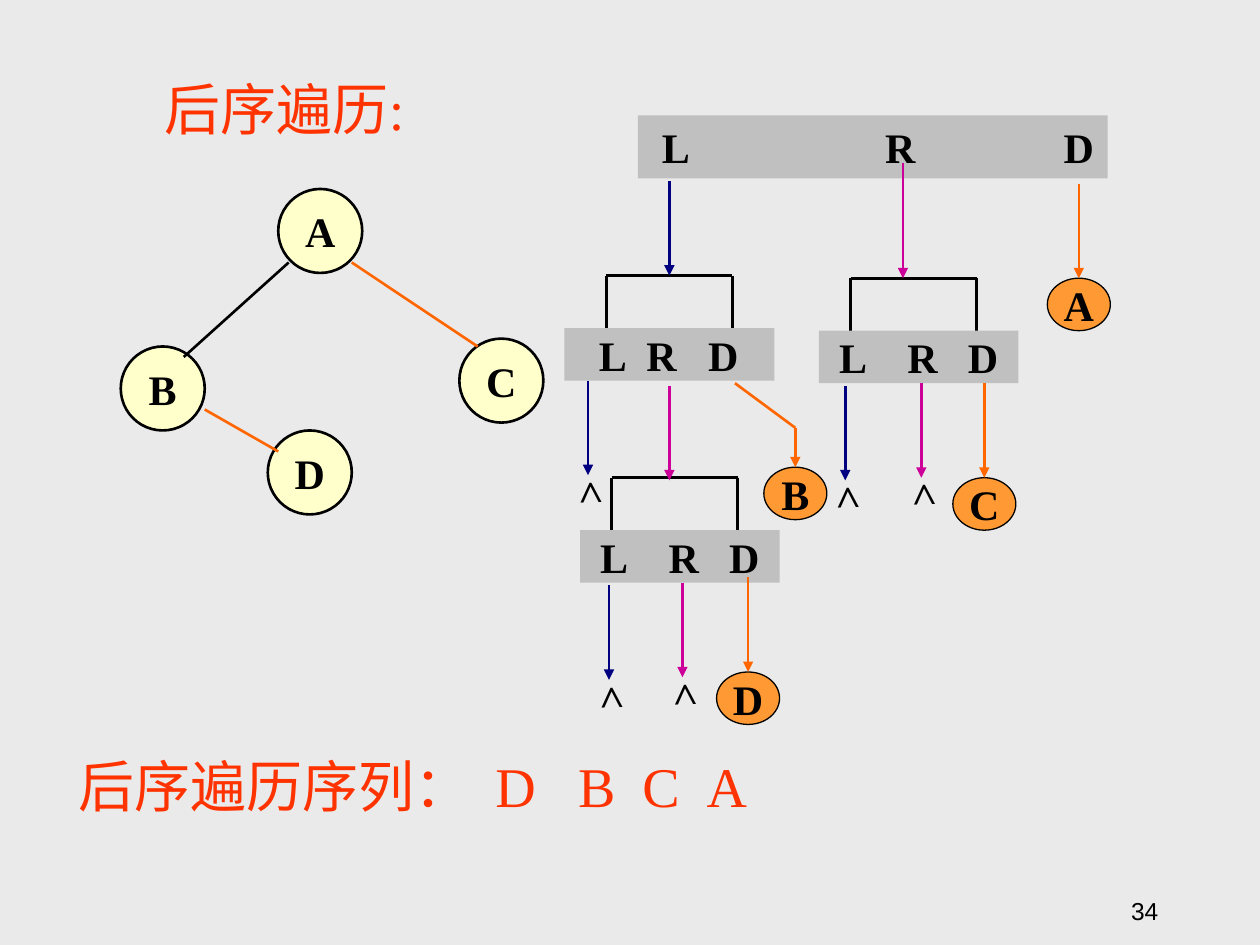
import pptx
import pptx.dml.color
import pptx.enum.shapes
import pptx.enum.text
import pptx.oxml
import pptx.oxml.ns
import pptx.util

RGB = pptx.dml.color.RGBColor
SHAPE = pptx.enum.shapes.MSO_SHAPE
ANCHOR = pptx.enum.text.MSO_ANCHOR
ALIGN = pptx.enum.text.PP_ALIGN

BACKGROUND = RGB(0xEA, 0xEA, 0xEA)
BLACK = RGB(0x00, 0x00, 0x00)
CREAM = RGB(0xFF, 0xFF, 0xCC)
GRAY = RGB(0xC0, 0xC0, 0xC0)
AMBER = RGB(0xFF, 0x99, 0x33)
ORANGE = RGB(0xFF, 0x66, 0x00)
NAVY = RGB(0x00, 0x00, 0x80)
MAGENTA = RGB(0xCC, 0x00, 0x99)
RED = RGB(0xFF, 0x33, 0x00)

COLUMNS, ROWS = 480, 360
ARROW = 36
LETTER = {"name": "Times New Roman", "size": pptx.util.Pt(24), "bold": True}
HEADING = {"name": "Times New Roman", "size": pptx.util.Pt(32)}
NUMBER = {"name": "Arial", "size": pptx.util.Pt(14)}


class Diagram:
    def __init__(self, prs):
        self.prs = prs
        self.s = prs.slides.add_slide(prs.slide_layouts[6])
        self.s.background.fill.solid()
        self.s.background.fill.fore_color.rgb = BACKGROUND

    def x(self, columns):
        return round(self.prs.slide_width * columns / COLUMNS)

    def y(self, rows):
        return round(self.prs.slide_height * rows / ROWS)

    def box(self, x, y, w, h):
        return self.x(x), self.y(y), self.x(w), self.y(h)

    def label(self, sp, text, style, color=BLACK, align=ALIGN.CENTER,
              anchor=ANCHOR.MIDDLE, tabs=(), tab_align="l", wrap=False):
        tf = sp.text_frame
        tf.word_wrap = wrap
        tf.vertical_anchor = anchor
        p = tf.paragraphs[0]
        p.alignment = align
        if tabs:
            props = p._p.get_or_add_pPr()
            stops = props.makeelement(pptx.oxml.ns.qn("a:tabLst"), {})
            props.append(stops)
            for tab in tabs:
                stop = stops.makeelement(pptx.oxml.ns.qn("a:tab"),
                                         {"pos": str(self.x(tab)), "algn": tab_align})
                stops.append(stop)
        r = p.add_run()
        r.text = text
        for name, value in style.items():
            setattr(r.font, name, value)
        r.font.color.rgb = color

    def shape(self, kind, x, y, w, h, fill, line_width=None):
        sp = self.s.shapes.add_shape(kind, *self.box(x, y, w, h))
        sp.shadow.inherit = False
        sp.fill.solid()
        sp.fill.fore_color.rgb = fill
        if line_width:
            sp.line.color.rgb = BLACK
            sp.line.width = pptx.util.Pt(line_width)
        else:
            sp.line.fill.background()
        return sp

    def line(self, x1, y1, x2, y2, color=BLACK, arrow=False):
        c = self.s.shapes.add_connector(
            pptx.enum.shapes.MSO_CONNECTOR.STRAIGHT,
            self.x(x1), self.y(y1), self.x(x2), self.y(y2))
        c.line.color.rgb = color
        c.line.width = pptx.util.Pt(1.5)
        props = c._element.spPr
        if arrow:
            ln = props.find(pptx.oxml.ns.qn("a:ln"))
            ln.append(ln.makeelement(pptx.oxml.ns.qn("a:tailEnd"), {"type": "triangle"}))
        props.append(props.makeelement(pptx.oxml.ns.qn("a:effectLst"), {}))
        return c

    def text(self, x, y, w, h, text, style, rotation=0, **layout):
        sp = self.s.shapes.add_textbox(*self.box(x, y, w, h))
        sp.rotation = rotation
        self.label(sp, text, style, **layout)
        return sp

    def node(self, x, y, letter):
        sp = self.shape(SHAPE.OVAL, x, y, 32, 32, CREAM, 1.5)
        self.label(sp, letter, LETTER)

    def bar(self, x, y, w, h, tabs):
        sp = self.shape(SHAPE.RECTANGLE, x, y, w, h, GRAY)
        sp.text_frame.margin_left = sp.text_frame.margin_right = 0
        self.label(sp, "\tL\tR\tD", LETTER, align=ALIGN.LEFT,
                   tabs=tabs, tab_align="ctr", wrap=True)

    def branch(self, x, y, bar_x, bar_w, tabs):
        self.line(x, y, x + 48, y)
        for leg in (x, x + 48):
            self.line(leg, y, leg, y + 20)
        self.bar(bar_x, y + 20, bar_w, 20, tabs)

    def empty(self, x, y, color):
        end = y + ARROW
        self.text(x - 10, end - 6, 20, 24, ">", LETTER, rotation=268.3,
                  align=ALIGN.LEFT, anchor=ANCHOR.TOP, wrap=True)
        self.line(x, y, x, end, color, arrow=True)

    def visit(self, x, y, letter, length=ARROW):
        sp = self.shape(SHAPE.OVAL, x - 12, y + length, 24, 20, AMBER, 0.75)
        self.label(sp, letter, LETTER)
        c = self.line(x, y, x, y + length, ORANGE, arrow=True)
        c.end_connect(sp, 0)


def main():
    prs = pptx.Presentation()
    prs.slide_width = pptx.util.Inches(10)
    prs.slide_height = pptx.util.Inches(7.5)
    d = Diagram(prs)

    for node in ((106, 72, "A"), (102, 164, "D"), (46, 132, "B"), (175, 129, "C")):
        d.node(*node)
    for edge in ((110, 100, 70, 136, BLACK), (134, 100, 182, 132, ORANGE),
                 (78, 156, 106, 172, ORANGE)):
        d.line(*edge)

    d.bar(243, 44, 179, 24, (14.5, 100, 168))
    narrow_tabs = (13, 39.5, 62.5)
    for branch in ((231, 105, 215, 80, (18.5, 37, 60.5)),
                   (233, 182, 221, 76, narrow_tabs),
                   (324, 106, 312, 76, narrow_tabs)):
        d.branch(*branch)
    for x, start, end, color in ((255, 69, 105, NAVY), (255, 147, 183, MAGENTA),
                                 (344, 62, 106, MAGENTA)):
        d.line(x, start, x, end, color, arrow=True)

    for empty in ((224, 145, NAVY), (260, 222, MAGENTA), (232, 223, NAVY),
                  (351, 146, MAGENTA), (322, 147, NAVY)):
        d.empty(*empty)
    for visit in ((411, 70, "A"), (285, 220, "D"), (375, 146, "C"), (303, 163, "B", 15)):
        d.visit(*visit)
    d.line(280, 146, 303, 163, ORANGE)

    heading = {"color": RED, "align": ALIGN.LEFT, "anchor": ANCHOR.TOP, "wrap": True}
    sp = d.text(25, 284, 265, 31, "后序遍历序列：\tD\tB\tC\tA", HEADING,
                tabs=(159, 190.5, 215, 239.5), **heading)
    sp.text_frame.margin_right = 0
    d.text(58, 26, 106, 31, "后序遍历:", HEADING, **heading)
    d.text(346, 331, 100, 24, "34", NUMBER, align=ALIGN.RIGHT,
           anchor=ANCHOR.BOTTOM, wrap=True)

    prs.save("out.pptx")


if __name__ == "__main__":
    main()
